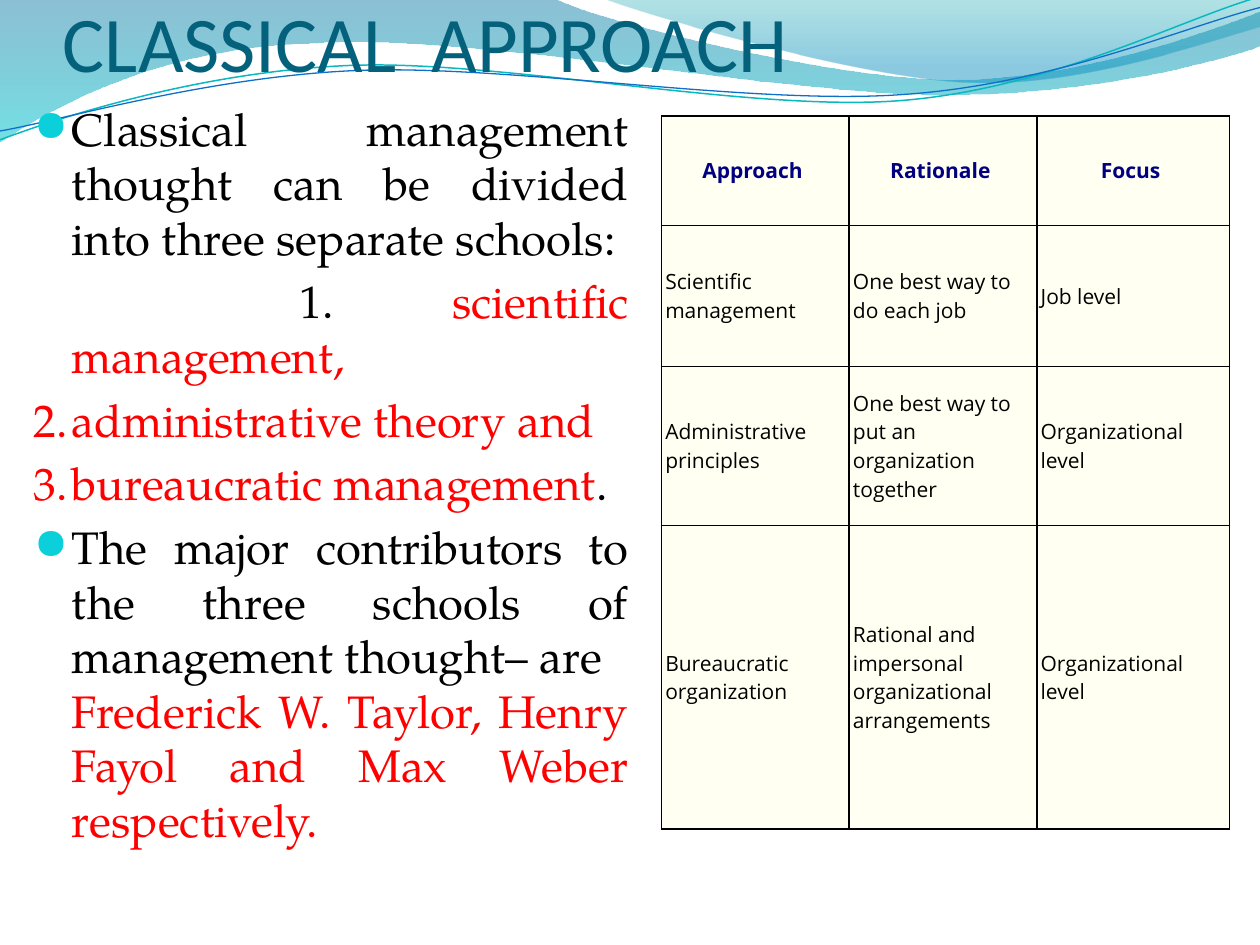
from math import cos, radians, sin

from lxml import etree
from pptx import Presentation
from pptx.dml.color import RGBColor
from pptx.enum.text import MSO_ANCHOR, PP_ALIGN
from pptx.oxml.ns import qn
from pptx.util import Inches, Pt

BOTTOM, MIDDLE = MSO_ANCHOR.BOTTOM, MSO_ANCHOR.MIDDLE
CENTER, JUSTIFY, LEFT = PP_ALIGN.CENTER, PP_ALIGN.JUSTIFY, PP_ALIGN.LEFT

THEME = {
    "title": ("Calibri", 45, "04617B"),
    "body": ("TeX Gyre Pagella", 26, "000000"),
    "header": ("Open Sans", 12, "000080"),
    "cell": ("Open Sans", 12, "000000"),
    "accent": "FF0000",
    "bullet": "0BD0D9",
    "bullet_font": "OpenSymbol",
    "cell_fill": "FFFFF2",
    "border": "000000",
}

TITLE = "CLASSICAL  APPROACH"

BODY = [
    ("bullet", [("Classical management thought can be divided into three separate schools:", False)]),
    ("first", [("1. ", False), ("scientific management,", True)]),
    ("number", [("2.\tadministrative theory and", True)]),
    ("number", [("3.\tbureaucratic management", True), (".", False)]),
    ("bullet", [("The major contributors to the three schools of management thought– are", False)]),
    ("continued", [("Frederick W. Taylor, Henry Fayol and Max Weber respectively.", True)]),
]
FIRST_LINE_INDENTS = {"bullet": -0.3, "number": -0.3, "first": 1.81, "continued": 0}

TABLE = [
    ("Approach ", "Rationale ", "Focus "),
    ("Scientific management", "One best way to do each job", "Job level"),
    ("Administrative principles", "One best way to put an organization together", "Organizational level"),
    ("Bureaucratic organization", "Rational and impersonal organizational arrangements", "Organizational level"),
]
COLUMN_WIDTHS = [1.49, 1.49, 1.53]
ROW_HEIGHTS = [0.87, 1.12, 1.26, 2.41]

BANDS = [
    ([(0, 0), (4.4, -0.01), (4.76, 0.17, 6.64, 0.63, 7.58, 0.63),
      (8.53, 0.63, 9.58, 0.26, 10, 0.09), (10.01, 0.36),
      (9.83, 0.44, 8.7, 0.76, 7.46, 0.75), (6.22, 0.75, 3.82, 0.28, 2.57, 0.34),
      (1.29, 0.36, 0.46, 0.83, -0.01, 1.13), (0, 0)],
     [(0, "0074A1", 45), (1, "00C6CF", 55)]),
    ([(4.79, -0.01), (5.09, 0.11, 6.82, 0.62, 7.69, 0.65),
      (8.56, 0.69, 9.61, 0.32, 10, 0.21), (10, 0), (4.79, -0.01)],
     [(0, "00A1A9", 30), (0.8, "008BBF", 45)]),
]
WAVES = [
    ([(0, 1.11), (0.48, 0.93, 1.58, 0.57, 2.77, 0.52),
      (3.95, 0.47, 5.93, 0.89, 7.13, 0.8), (8.33, 0.71, 9.38, 0.15, 9.98, -0.02)],
     "0AB8BF", 0.85, (4.99, 0.57)),
    ([(0, 1.04), (0.47, 0.96, 1.64, 0.61, 2.83, 0.56),
      (4.03, 0.51, 5.97, 0.84, 7.17, 0.75), (8.36, 0.67, 9.41, 0.21, 10, 0.06)],
     "0F6FC6", 0.75, (5, 0.59)),
]
WAVE_TILT = -2.7


def rgb(value):
    return RGBColor.from_string(value)


def pairs(segment):
    return list(zip(segment[::2], segment[1::2]))


def turn(segments, center, degrees):
    angle = radians(degrees)
    turned = []
    for segment in segments:
        values = []
        for x, y in pairs(segment):
            dx, dy = x - center[0], y - center[1]
            values += [center[0] + dx * cos(angle) - dy * sin(angle),
                       center[1] + dx * sin(angle) + dy * cos(angle)]
        turned.append(tuple(values))
    return turned


def add_outline(slide, segments, close):
    anchors = [(Inches(segment[-2]), Inches(segment[-1])) for segment in segments]
    builder = slide.shapes.build_freeform(*anchors[0])
    builder.add_line_segments(anchors[1:], close=close)
    shape = builder.convert_to_shape()
    shape.shadow.inherit = False
    for line, segment in zip(list(shape._element.iter(qn("a:lnTo"))), segments[1:]):
        if len(segment) == 6:
            curve = etree.Element(qn("a:cubicBezTo"))
            for x, y in pairs(segment):
                etree.SubElement(curve, qn("a:pt"), x=str(Inches(x) - shape.left), y=str(Inches(y) - shape.top))
            line.getparent().replace(line, curve)
    return shape


def add_band(slide, segments, stops):
    shape = add_outline(slide, segments, True)
    shape.line.fill.background()
    shape.fill.gradient()
    shape.fill.gradient_angle = 270
    for stop, (position, color, _) in zip(shape.fill.gradient_stops, stops):
        stop.position = position
        stop.color.rgb = rgb(color)
    for element, (_, _, opacity) in zip(shape._element.iter(qn("a:srgbClr")), stops):
        etree.SubElement(element, qn("a:alpha"), val=str(opacity * 1000))


def add_wave(slide, segments, color, width, center):
    shape = add_outline(slide, turn(segments, center, -WAVE_TILT), False)
    shape.rotation = WAVE_TILT
    shape.fill.background()
    shape.line.color.rgb = rgb(color)
    shape.line.width = Pt(width)


def format_run(run, style, color=None, bold=False):
    name, size, default_color = THEME[style]
    run.font.name = name
    run.font.size = Pt(size)
    run.font.bold = bold
    run.font.color.rgb = rgb(color or default_color)


def indent(paragraph, left, first_line=0):
    properties = paragraph._p.get_or_add_pPr()
    properties.set("marL", str(Inches(left)))
    properties.set("indent", str(Inches(first_line)))
    return properties


def add_title(slide):
    frame = slide.shapes.add_textbox(Inches(0.5), 0, Inches(9), Inches(0.7)).text_frame
    frame.word_wrap = True
    frame.vertical_anchor = BOTTOM
    frame.margin_left = frame.margin_right = frame.margin_top = frame.margin_bottom = 0
    frame.text = TITLE
    format_run(frame.paragraphs[0].runs[0], "title")


def add_body(slide):
    frame = slide.shapes.add_textbox(Inches(0.17), Inches(0.75), Inches(4.92), Inches(6.42)).text_frame
    frame.word_wrap = True
    for index, (kind, parts) in enumerate(BODY):
        paragraph = frame.paragraphs[0] if index == 0 else frame.add_paragraph()
        paragraph.alignment = JUSTIFY
        paragraph.space_before = Pt(0 if kind == "continued" else 5.2)
        properties = indent(paragraph, 0.3, FIRST_LINE_INDENTS[kind])
        if kind == "bullet":
            color = etree.SubElement(properties, qn("a:buClr"))
            etree.SubElement(color, qn("a:srgbClr"), val=THEME["bullet"])
            etree.SubElement(properties, qn("a:buSzPct"), val="95000")
            etree.SubElement(properties, qn("a:buFont"), typeface=THEME["bullet_font"])
            etree.SubElement(properties, qn("a:buChar"), char="●")
        for text, highlighted in parts:
            run = paragraph.add_run()
            run.text = text
            format_run(run, "body", THEME["accent"] if highlighted else None)


def format_cell(cell, text, is_header):
    properties = cell._tc.get_or_add_tcPr()
    for side in ("a:lnL", "a:lnR", "a:lnT", "a:lnB"):
        line = etree.SubElement(properties, qn(side), w=str(Pt(1)))
        fill = etree.SubElement(line, qn("a:solidFill"))
        etree.SubElement(fill, qn("a:srgbClr"), val=THEME["border"])
    cell.fill.solid()
    cell.fill.fore_color.rgb = rgb(THEME["cell_fill"])
    cell.vertical_anchor = MIDDLE
    cell.margin_left = cell.margin_right = cell.margin_top = cell.margin_bottom = Inches(0.01)
    cell.text_frame.text = text
    paragraph = cell.text_frame.paragraphs[0]
    paragraph.alignment = CENTER if is_header else LEFT
    if not is_header:
        indent(paragraph, 0.02)
        paragraph.space_before = paragraph.space_after = Pt(1.5)
    format_run(paragraph.runs[0], "header" if is_header else "cell", bold=is_header)


def add_approach_table(slide):
    table = slide.shapes.add_table(
        len(TABLE), len(COLUMN_WIDTHS), Inches(5.25), Inches(0.92),
        Inches(sum(COLUMN_WIDTHS)), Inches(sum(ROW_HEIGHTS))).table
    table.first_row = table.horz_banding = False
    for column, width in zip(table.columns, COLUMN_WIDTHS):
        column.width = Inches(width)
    for row, height, texts in zip(table.rows, ROW_HEIGHTS, TABLE):
        row.height = Inches(height)
        for cell, text in zip(row.cells, texts):
            format_cell(cell, text, texts is TABLE[0])


def main():
    presentation = Presentation()
    presentation.slide_width, presentation.slide_height = Inches(10), Inches(7.5)
    slide = presentation.slides.add_slide(presentation.slide_layouts[6])
    for band in BANDS:
        add_band(slide, *band)
    for wave in WAVES:
        add_wave(slide, *wave)
    add_title(slide)
    add_approach_table(slide)
    add_body(slide)
    presentation.save("out.pptx")


if __name__ == "__main__":
    main()
